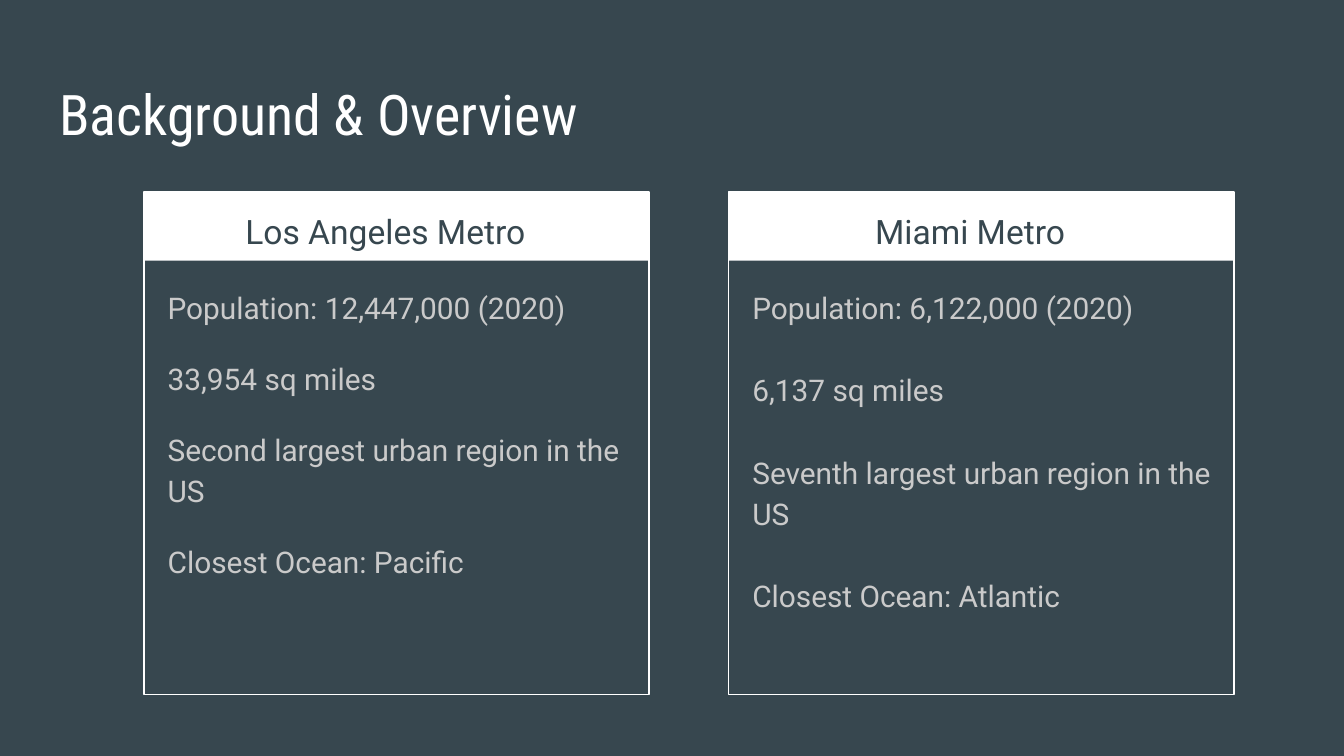
from pptx import Presentation
from pptx.dml.color import RGBColor
from pptx.enum.shapes import MSO_SHAPE
from pptx.enum.text import MSO_ANCHOR, PP_ALIGN
from pptx.util import Cm, Pt

RECTANGLE = MSO_SHAPE.RECTANGLE
TOP = MSO_ANCHOR.TOP
LEFT, CENTER = PP_ALIGN.LEFT, PP_ALIGN.CENTER

COLORS = {"slate": "37474F", "white": "FFFFFF", "grey": "CACACA"}

CARD_LEFT, CARD_TOP, CARD_PITCH = 2.72, 3.63, 11.05
CARD_WIDTH, CARD_HEIGHT, HEADER_HEIGHT = 9.55, 9.5, 1.3

# Heading, space between facts in points, facts
METROS = [
    ("Los Angeles Metro", 16, [
        "Population: 12,447,000 (2020)",
        "33,954 sq miles",
        "Second largest urban region in the US",
        "Closest Ocean: Pacific",
    ]),
    ("Miami Metro", 22, [
        "Population: 6,122,000 (2020)",
        "6,137 sq miles",
        "Seventh largest urban region in the US",
        "Closest Ocean: Atlantic",
    ]),
]


def rgb(name):
    return RGBColor.from_string(COLORS[name])


def add_text(slide, box, lines, size, color, font="Roboto", align=LEFT,
             spacing=1.15, gap=0):
    """Add a text box with one paragraph per line; box is in centimetres."""
    frame = slide.shapes.add_textbox(*map(Cm, box)).text_frame
    frame.word_wrap = True
    frame.vertical_anchor = TOP
    frame.margin_left = frame.margin_right = Cm(0.25)
    frame.margin_top = frame.margin_bottom = Cm(0.25)
    for index, line in enumerate(lines):
        paragraph = frame.add_paragraph() if index else frame.paragraphs[0]
        paragraph.alignment = align
        paragraph.line_spacing = spacing
        paragraph.space_before = Pt(gap if index else 0)
        run = paragraph.add_run()
        run.text = line
        run.font.name = font
        run.font.size = Pt(size)
        run.font.color.rgb = rgb(color)


def add_card_frame(slide, left):
    """Add a filled header band and a card outline as one group."""
    group = slide.shapes.add_group_shape()
    band, outline = (
        group.shapes.add_shape(RECTANGLE, Cm(left), Cm(CARD_TOP),
                               Cm(CARD_WIDTH), Cm(height))
        for height in (HEADER_HEIGHT, CARD_HEIGHT)
    )
    band.shadow.inherit = outline.shadow.inherit = False
    band.fill.solid()
    band.fill.fore_color.rgb = rgb("white")
    band.line.fill.background()
    outline.fill.background()
    outline.line.color.rgb = rgb("white")
    outline.line.width = Pt(0.75)


def add_metro_card(slide, left, heading, gap, facts):
    add_card_frame(slide, left)
    add_text(slide, (left + 1.1, CARD_TOP, 6.93, 1.27), [heading],
             18, "slate", align=CENTER)
    add_text(slide, (left + 0.2, CARD_TOP + 1.5, 9.3, 7.77), facts,
             16, "grey", gap=gap)


def main():
    presentation = Presentation()
    presentation.slide_width = Cm(25.4)
    presentation.slide_height = Cm(14.29)
    slide = presentation.slides.add_slide(presentation.slide_layouts[6])
    slide.background.fill.solid()
    slide.background.fill.fore_color.rgb = rgb("slate")

    add_text(slide, (0.87, 1.25, 23.67, 1.6), ["Background & Overview"],
             30, "white", font="Roboto Condensed", spacing=1.0)
    for index, (heading, gap, facts) in enumerate(METROS):
        add_metro_card(slide, CARD_LEFT + index * CARD_PITCH,
                       heading, gap, facts)

    presentation.save("out.pptx")


if __name__ == "__main__":
    main()
